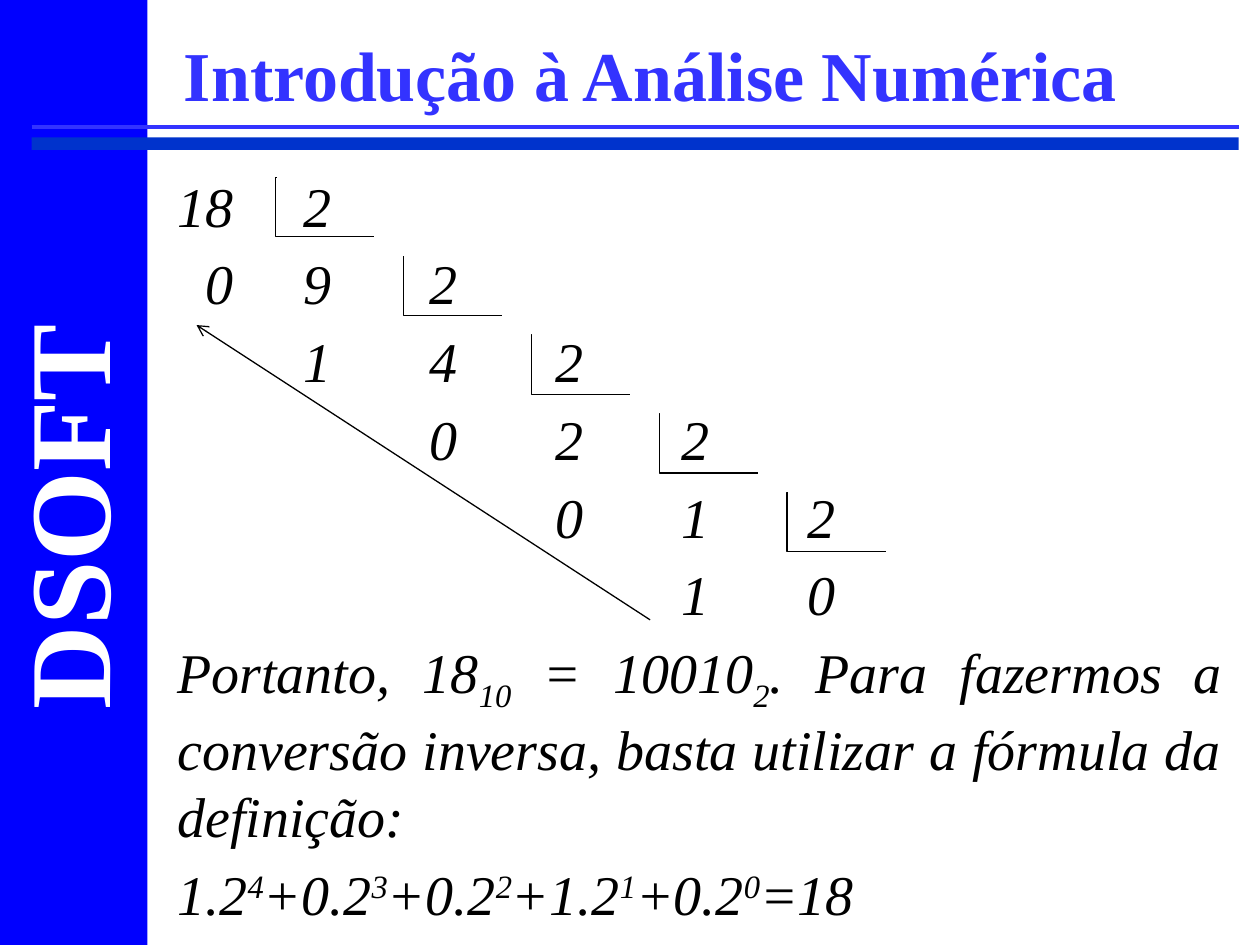
from lxml.etree import SubElement
from pptx import Presentation
from pptx.dml.color import RGBColor
from pptx.enum.shapes import MSO_CONNECTOR, MSO_SHAPE
from pptx.enum.text import MSO_ANCHOR, MSO_AUTO_SIZE, PP_ALIGN
from pptx.oxml.ns import qn
from pptx.util import Inches, Pt

FONT = "Times New Roman"
BLACK, WHITE, BLUE = "000000", "FFFFFF", "3333FF"
TAB_STEP = 1
DIGIT_WIDTH = 0.22
SUBSCRIPT, SUPERSCRIPT = -25, 30

# Successive divisions by two, one row per paragraph
DIVISIONS = ["18\t2", "\t0\t9\t2", "\t1\t4\t2", "\t\t0\t2\t2",
             "\t\t\t0\t1\t2", "\t\t\t\t1\t0"]
CONCLUSION = [("Portanto, 18", 0), ("10", SUBSCRIPT), (" = 10010", 0),
              ("2", SUBSCRIPT),
              (". Para fazermos a conversão inversa, basta utilizar "
               "a fórmula da definição:", 0)]
BITS = "10010"


def color(value):
    return RGBColor.from_string(value)


def add_span(para, text, size=32, ink=BLACK, bold=False, italic=False, baseline=0):
    span = para.add_run()
    span.text = text
    span.font.name = FONT
    span.font.size = Pt(size)
    span.font.bold = bold
    span.font.italic = italic
    span.font.color.rgb = color(ink)
    if baseline:
        span.font._element.set("baseline", str(baseline * 1000))
    return span


def add_tabs(para, stops):
    tab_list = SubElement(para._p.get_or_add_pPr(), qn("a:tabLst"))
    for stop in stops:
        SubElement(tab_list, qn("a:tab"), pos=str(Inches(stop)), algn="l")


def add_bar(page, left, top, width, height, fill):
    bar = page.shapes.add_shape(MSO_SHAPE.RECTANGLE, Inches(left), Inches(top),
                                Inches(width), Inches(height))
    bar.shadow.inherit = False
    bar.fill.solid()
    bar.fill.fore_color.rgb = color(fill)
    bar.line.fill.background()


def add_line(page, start, end, ink=BLACK, width=0.75, kind=MSO_CONNECTOR.STRAIGHT):
    line = page.shapes.add_connector(kind, *(Inches(value) for value in start + end))
    line.line.color.rgb = color(ink)
    line.line.width = Pt(width)
    SubElement(line._element.spPr, qn("a:effectLst"))
    return line


def add_frame(page):
    """Side band with its label, and the rules below the title."""
    add_bar(page, 0, 0, 1.17, 7.5, "0000FF")
    add_bar(page, 0.25, 1.09, 9.58, 0.1, "0033CC")
    add_line(page, (0.25, 1.01), (9.83, 1.01), BLUE, 2.25)
    box = page.shapes.add_textbox(Inches(-1.11), Inches(3.5), Inches(3.25), Inches(1.2))
    box.rotation = 270
    box.text_frame.word_wrap = False
    box.text_frame.auto_size = MSO_AUTO_SIZE.SHAPE_TO_FIT_TEXT
    box.text_frame.margin_right = 0
    add_span(box.text_frame.paragraphs[0], "DSOFT", size=66, ink=WHITE, bold=True)


def add_title(page, left, top, width, height):
    title = page.shapes.title
    title.left, title.top = Inches(left), Inches(top)
    title.width, title.height = Inches(width), Inches(height)
    title.text_frame.vertical_anchor = MSO_ANCHOR.MIDDLE
    para = title.text_frame.paragraphs[0]
    para.alignment = PP_ALIGN.LEFT
    add_span(para, "Introdução à Análise Numérica", size=40, ink=BLUE, bold=True)


def expansion_spans():
    """Sum of the bits times their powers of two."""
    spans = []
    for index, bit in enumerate(BITS):
        sign = "+" if index else ""
        spans += [(f"{sign}{bit}.2", 0),
                  (str(len(BITS) - 1 - index), SUPERSCRIPT)]
    return spans + [("=18", 0)]


def add_body(page, left, top, width, height):
    box = page.shapes.add_textbox(Inches(left), Inches(top), Inches(width), Inches(height))
    frame = box.text_frame
    frame.word_wrap = True
    rows = [[(text, 0)] for text in DIVISIONS] + [CONCLUSION, expansion_spans()]
    for index, spans in enumerate(rows):
        para = frame.add_paragraph() if index else frame.paragraphs[0]
        para.alignment = PP_ALIGN.JUSTIFY
        para.space_before = Pt(6 if index else 0)
        # The first remainder lines up with the units digit of 18
        units_stop = [DIGIT_WIDTH] if index == 1 else []
        add_tabs(para, units_stop + [TAB_STEP * step for step in range(1, 8)])
        for text, baseline in spans:
            add_span(para, text, italic=True, baseline=baseline)


def add_division_marks(page, left, top):
    """Division brackets down the staircase, and the reading-order arrow."""
    step_x, step_y, width, height = 1.015, 0.625, 0.78, 0.47
    for index in range(5):
        x, y = left + index * step_x, top + index * step_y
        bracket = add_line(page, (x, y), (x + width, y + height),
                           kind=MSO_CONNECTOR.ELBOW)
        guides = bracket._element.spPr.find(qn("a:prstGeom")).get_or_add_avLst()
        SubElement(guides, qn("a:gd"), name="adj1", fmla="val -500")
    arrow = add_line(page, (left + 2.97, top + 3.51), (left - 0.63, top + 1.17))
    SubElement(arrow.line._get_or_add_ln(), qn("a:tailEnd"), type="arrow")


def main():
    deck = Presentation()
    deck.slide_width, deck.slide_height = Inches(10), Inches(7.5)
    page = deck.slides.add_slide(deck.slide_layouts[5])
    add_frame(page)
    add_title(page, 1.36, 0.08, 8.49, 1)
    add_body(page, 1.31, 1.31, 8.49, 5.91)
    add_division_marks(page, 2.19, 1.41)
    deck.save("out.pptx")


if __name__ == "__main__":
    main()
